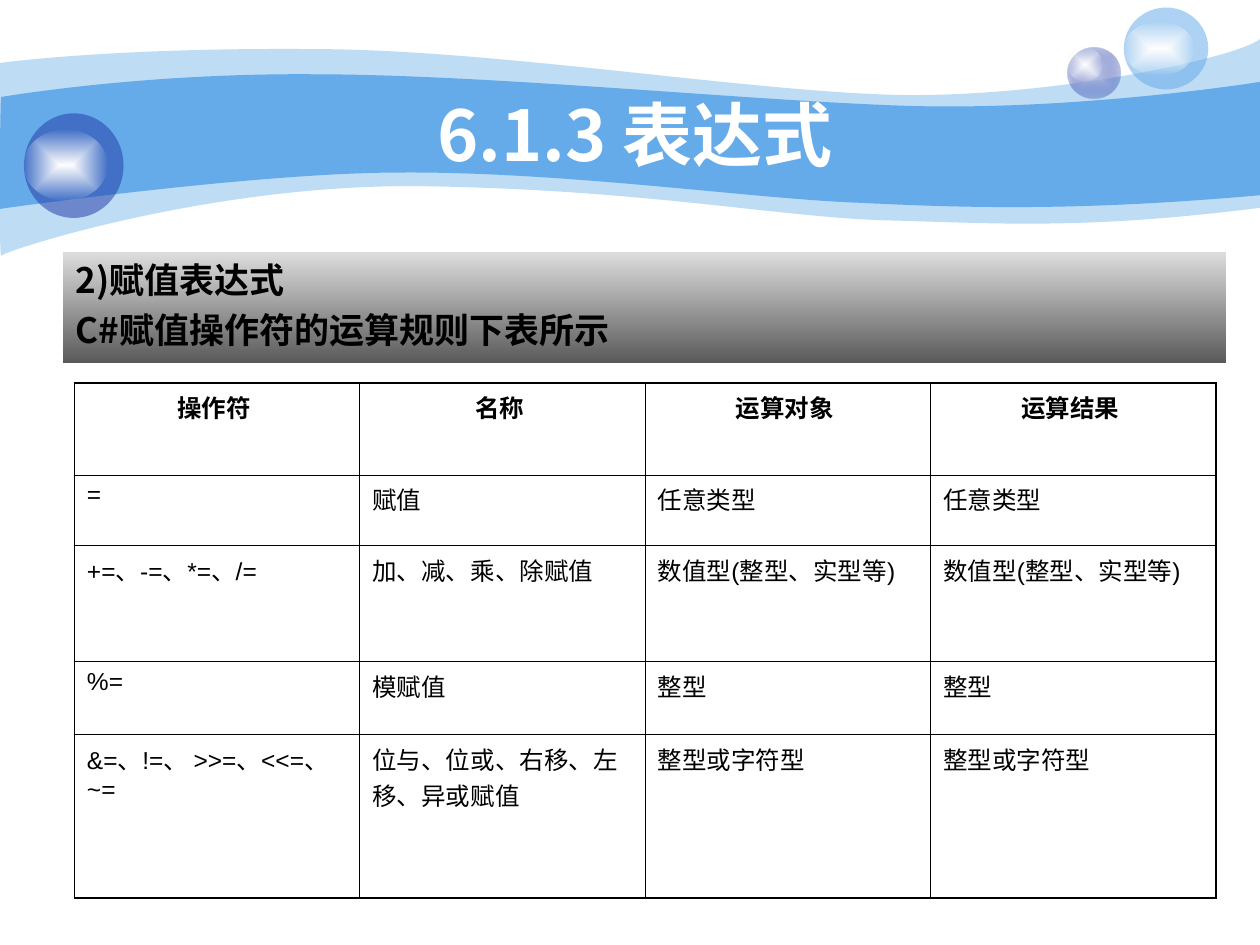
from dataclasses import dataclass

from pptx import Presentation
from pptx.dml.color import RGBColor
from pptx.enum.shapes import MSO_SHAPE
from pptx.enum.text import MSO_ANCHOR, MSO_AUTO_SIZE, PP_ALIGN
from pptx.oxml import parse_xml
from pptx.oxml.ns import nsdecls, qn
from pptx.util import Inches, Pt


@dataclass(frozen=True)
class Theme:
    """Colours, fonts and sizes of the slide."""
    sky: str = "65AAE9"
    navy: str = "233DA9"
    lilac: str = "C6CCE8"
    white: str = "FFFFFF"
    glow_edge: str = "FEFEFE"
    black: str = "000000"
    silver: str = "DDDDDD"
    charcoal: str = "5A5A5A"
    cjk: str = "Noto Sans CJK SC"
    latin: str = "Arial"
    title_size: float = 40
    intro_size: float = 20
    cell_size: float = 14
    outer_line: float = 1.08
    inner_line: float = 0.45


THEME = Theme()
GLOW = ((THEME.white, 100), (THEME.glow_edge, 0))

PALE_WAVE = (
    (0, 0.5),
    [(0.24, 0.47, 1.07, 0.38, 2.47, 0.39), (3.86, 0.39, 5.75, 0.7, 6.99, 0.75),
     (8.22, 0.8, 9.8, 0.47, 10, 0.31), (10, 1.65),
     (8.58, 1.83, 7.87, 1.77, 7.05, 1.75), (6.22, 1.73, 5.15, 1.51, 3.43, 1.48),
     (1.72, 1.44, 0.04, 1.99, 0.01, 2.03), (-0.01, 2.08, 0, 0.75, 0, 0.5)],
)
BLUE_WAVE = (
    (0.01, 0.77),
    [(0.02, 0.77, 1.1, 0.58, 2.48, 0.59), (3.86, 0.59, 5.95, 0.8, 7.18, 0.84),
     (8.41, 0.88, 9.76, 0.69, 10, 0.65), (10, 1.55),
     (8.53, 1.68, 7.65, 1.65, 6.82, 1.61), (5.99, 1.58, 4.47, 1.36, 3.17, 1.37),
     (2.03, 1.37, -0.02, 1.66, -0.01, 1.66), (0, 1.66, 0, 0.77, 0.01, 0.77)],
)

SPHERES = [
    ((8.47, 0.38, 0.42, 0.4), ((THEME.lilac, 100), (THEME.navy, 31)), (8.47, 0.38, 0.28, 0.27)),
    ((8.92, 0.06, 0.67, 0.65), ((THEME.sky, 53),), (8.92, 0.17, 0.56, 0.43)),
    ((0.19, 0.9, 0.79, 0.83), ((THEME.navy, 53),), (0.19, 1.03, 0.66, 0.56)),
]

OPERATORS = [
    ("操作符 ", "名称 ", "运算对象 ", "运算结果 "),
    ("=", "赋值", "任意类型", "任意类型"),
    ("+=、-=、*=、/=", "加、减、乘、除赋值", "数值型(整型、实型等)", "数值型(整型、实型等)"),
    ("%=", "模赋值", "整型", "整型"),
    ("&=、!=、 >>=、<<=、~=", "位与、位或、右移、左移、异或赋值", "整型或字符型", "整型或字符型"),
]
ROW_HEIGHTS = (0.73, 0.56, 0.92, 0.58, 1.3)


def inches(values):
    """Convert several numbers to lengths."""
    return [Inches(value) for value in values]


def color_xml(color, opacity=100):
    """Return a colour element with its opacity in percent."""
    alpha = f'<a:alpha val="{opacity * 1000}"/>' if opacity < 100 else ""
    return f'<a:srgbClr val="{color}">{alpha}</a:srgbClr>'


def paint(shape, stops, linear=False):
    """Fill a shape with one colour or a gradient, without line or shadow."""
    shape.shadow.inherit = False
    shape.line.fill.background()
    shape.fill.background()
    if len(stops) == 1:
        fill = f'<a:solidFill {nsdecls("a")}>{color_xml(*stops[0])}</a:solidFill>'
    else:
        marks = "".join(f'<a:gs pos="{place}">{color_xml(*stop)}</a:gs>'
                        for place, stop in zip((0, 100000), stops))
        course = ('<a:lin ang="5400000" scaled="0"/>' if linear else
                  '<a:path path="rect"><a:fillToRect l="50000" t="50000" r="50000" b="50000"/></a:path>')
        fill = (f'<a:gradFill {nsdecls("a")} rotWithShape="1">'
                f'<a:gsLst>{marks}</a:gsLst>{course}</a:gradFill>')
    properties = shape._element.spPr
    properties.replace(properties.find(qn("a:noFill")), parse_xml(fill))


def write(frame, text, size, font=THEME.cjk, color=THEME.black, bold=False,
          align=PP_ALIGN.LEFT, anchor=MSO_ANCHOR.TOP, gap=0):
    """Write one paragraph per line of text in the given format."""
    frame.word_wrap = True
    frame.vertical_anchor = anchor
    for index, line in enumerate(text.split("\n")):
        paragraph = frame.add_paragraph() if index else frame.paragraphs[0]
        paragraph.alignment = align
        paragraph.space_before = Pt(gap if index else 0)
        run = paragraph.add_run()
        run.text = line
        run.font.size = Pt(size)
        run.font.bold = bold
        run.font.name = font
        run.font.color.rgb = RGBColor.from_string(color)
        east_asian = parse_xml(f'<a:ea {nsdecls("a")} typeface="{THEME.cjk}"/>')
        run.font._element.find(qn("a:latin")).addnext(east_asian)


def bend(outline, segments):
    """Turn each run of three straight steps into one Bezier curve."""
    steps = iter(list(outline._element.iter(qn("a:lnTo"))))
    for segment in segments:
        pieces = [next(steps) for _ in range(len(segment) // 2)]
        if len(pieces) == 3:
            curve = parse_xml(f'<a:cubicBezTo {nsdecls("a")}/>')
            pieces[0].addprevious(curve)
            for piece in pieces:
                curve.append(piece[0])
                piece.getparent().remove(piece)


def add_wave(slide, start, segments, opacity):
    """Draw one closed wave across the header."""
    points = [inches(segment[i:i + 2]) for segment in segments
              for i in range(0, len(segment), 2)]
    builder = slide.shapes.build_freeform(*inches(start))
    builder.add_line_segments(points, close=True)
    wave = builder.convert_to_shape()
    bend(wave, segments)
    paint(wave, ((THEME.sky, opacity),))


def add_sphere(slide, ball_box, ball_stops, glow_box):
    """Draw a glass ball with its highlight as a group."""
    sphere = slide.shapes.add_group_shape()
    for box, stops in ((ball_box, ball_stops), (glow_box, GLOW)):
        paint(sphere.shapes.add_shape(MSO_SHAPE.OVAL, *inches(box)), stops)


def set_title(slide, text):
    """Place the title in front of the waves and format it."""
    title = slide.shapes.title
    slide.shapes._spTree.append(title._element)
    title.left, title.top, title.width, title.height = inches((1, 0.75, 8.08, 0.62))
    title.text_frame.auto_size = MSO_AUTO_SIZE.NONE
    write(title.text_frame, text, THEME.title_size, color=THEME.white, bold=True,
          align=PP_ALIGN.CENTER, anchor=MSO_ANCHOR.MIDDLE)


def add_intro(slide, text):
    """Add the shaded band that introduces the table."""
    intro = slide.shapes.add_shape(MSO_SHAPE.RECTANGLE, *inches((0.5, 2, 9.23, 0.88)))
    paint(intro, ((THEME.silver, 100), (THEME.charcoal, 100)), linear=True)
    write(intro.text_frame, text, THEME.intro_size, bold=True, gap=5)


def set_borders(cell, outer_sides):
    """Rule a cell, thicker on the sides at the table's edge."""
    properties = cell._tc.get_or_add_tcPr()
    for index, side in enumerate("LRTB"):
        width = Pt(THEME.outer_line if side in outer_sides else THEME.inner_line)
        properties.insert(index, parse_xml(
            f'<a:ln{side} {nsdecls("a")} w="{width}"><a:solidFill>'
            f'{color_xml(THEME.black)}</a:solidFill></a:ln{side}>'))


def add_operator_table(slide, rows, heights):
    """Add the ruled table with a bold centred header row."""
    columns = len(rows[0])
    box = inches((0.59, 3.04, 9.06, sum(heights)))
    table = slide.shapes.add_table(len(rows), columns, *box).table
    table.first_row = table.horz_banding = False
    for row, height in zip(table.rows, heights):
        row.height = Inches(height)
    for r, row in enumerate(rows):
        for c, text in enumerate(row):
            cell = table.cell(r, c)
            cell.fill.background()
            edges = {"L": c == 0, "R": c == columns - 1, "T": r == 0, "B": r == len(rows) - 1}
            set_borders(cell, [side for side, outer in edges.items() if outer])
            write(cell.text_frame, text, THEME.cell_size, font=THEME.latin, bold=r == 0,
                  align=PP_ALIGN.LEFT if r else PP_ALIGN.CENTER)


def main():
    """Build and save the slide."""
    deck = Presentation()
    deck.slide_width, deck.slide_height = inches((10, 7.5))
    slide = deck.slides.add_slide(deck.slide_layouts[5])
    add_wave(slide, *PALE_WAVE, opacity=41)
    add_wave(slide, *BLUE_WAVE, opacity=100)
    for sphere in SPHERES:
        add_sphere(slide, *sphere)
    set_title(slide, "6.1.3 表达式")
    add_intro(slide, "2)赋值表达式\nC#赋值操作符的运算规则下表所示")
    add_operator_table(slide, OPERATORS, ROW_HEIGHTS)
    deck.save("out.pptx")


if __name__ == "__main__":
    main()
